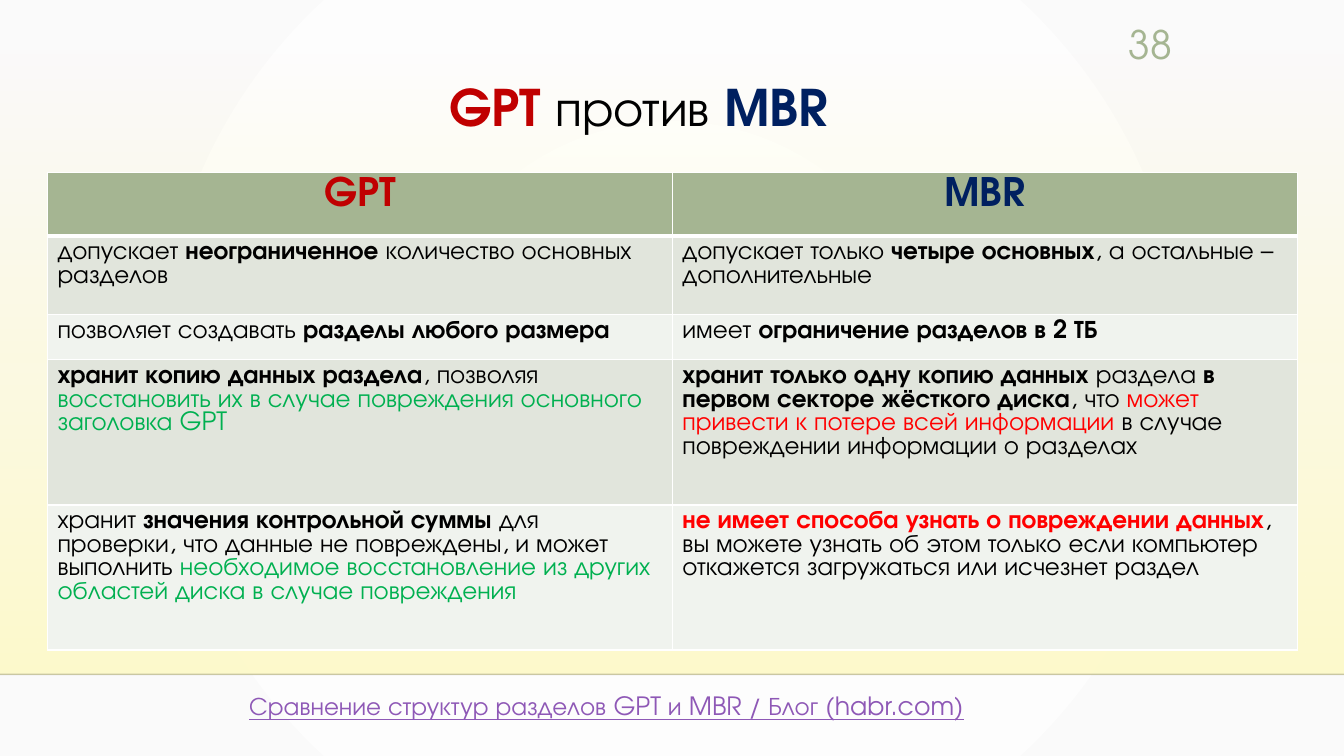
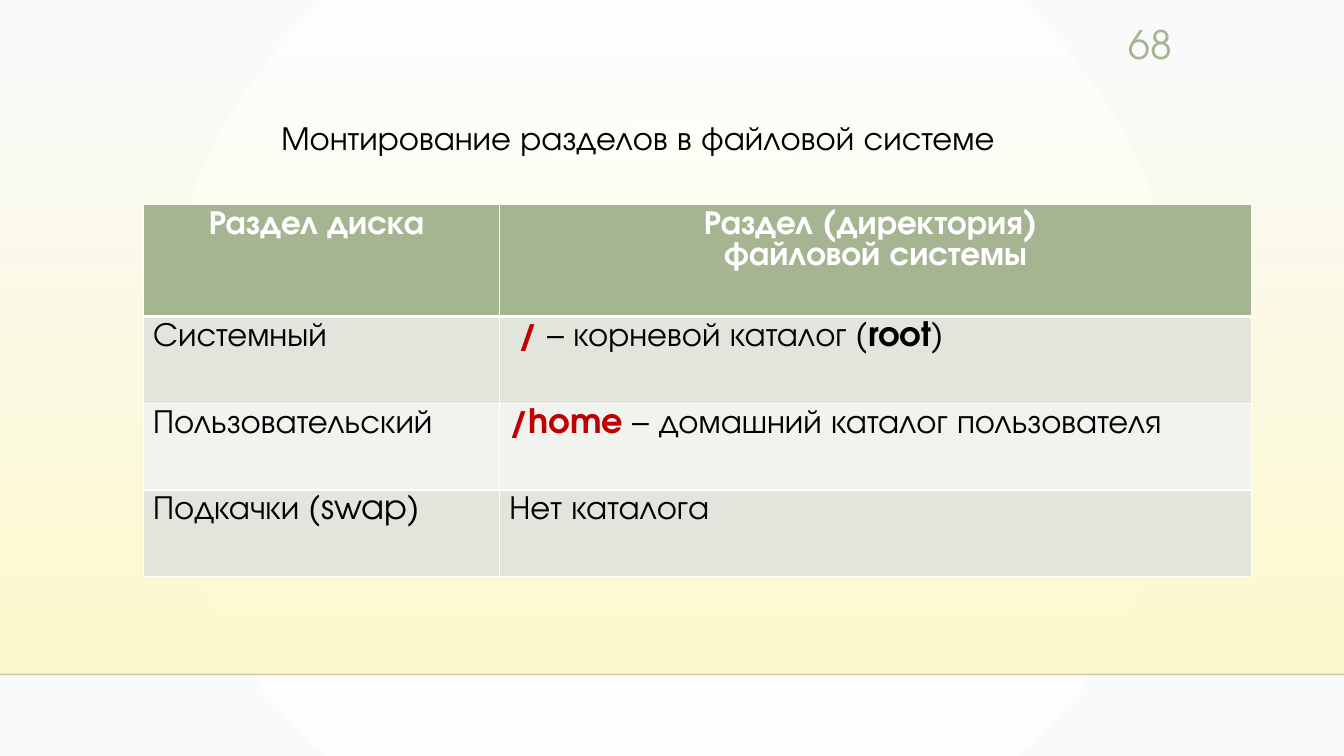
"""Build two slides on disk partitions: GPT against MBR, and mounting partitions."""
import pptx
import pptx.dml.color
import pptx.enum.shapes
import pptx.enum.text
import pptx.oxml
import pptx.oxml.ns
import pptx.util

FONT = "TeX Gyre Adventor"
WIDTH, HEIGHT = pptx.util.Inches(13.33), pptx.util.Inches(7.5)
SAGE, PALE_SAGE, MIST = "A5B592", "E1E5DC", "F0F3EE"
NUMBER_PLACE = (81.4, 2, 6.55, 7.33)
NAMESPACE = 'xmlns:a="http://schemas.openxmlformats.org/drawingml/2006/main"'
GRADIENT = (
    f'<a:gradFill {NAMESPACE} rotWithShape="1"><a:gsLst>'
    '<a:gs pos="0"><a:srgbClr val="{0}"><a:alpha val="{1}"/></a:srgbClr></a:gs>'
    '<a:gs pos="100000"><a:srgbClr val="{2}"/></a:gs></a:gsLst>{3}</a:gradFill>'
)
CIRCLE = '<a:path path="circle"><a:fillToRect l="50000" t="50000" r="50000" b="50000"/></a:path>'
DOWNWARD = '<a:lin ang="5400000" scaled="0"/>'
BORDER = '<a:{0} {1} w="{2}"><a:solidFill><a:srgbClr val="FFFFFF"/></a:solidFill></a:{0}>'

STYLES = {
    "plain": ("000000", {"bold": False}),
    "strong": ("000000", {"bold": True}),
    "gpt": ("C00000", {"bold": True}),
    "mbr": ("002060", {"bold": True}),
    "head": ("FFFFFF", {"bold": True}),
    "good": ("00B050", {"bold": False}),
    "bad": ("FF0000", {"bold": False}),
    "worst": ("FF0000", {"bold": True}),
    "number": (SAGE, {"bold": False}),
    "link": ("8E58B6", {"bold": False, "underline": True}),
}

SLIDES = [
    {
        "texts": [
            (NUMBER_PLACE, 28, True, "RIGHT", [("38", "number")]),
            ((32.7, 9.4, 31.6, 9.47), 36, False, "LEFT",
             [("GPT ", "gpt"), ("против ", "plain"), ("MBR", "mbr")]),
            ((17.8, 90.67, 61.4, 5.33), 18, True, "LEFT",
             [("Сравнение структур разделов GPT и MBR / Блог (habr.com)", "link")]),
        ],
        "corner": (3.53, 22.8),
        "columns": [46.5, 46.5],
        "rows": [8.4, 10.4, 6, 19.2, 19.2],
        "sizes": (28, 18),
        "cells": [
            [[("GPT", "gpt")], [("MBR", "mbr")]],
            [
                [("допускает ", "plain"), ("неограниченное", "strong"),
                 (" количество основных разделов", "plain")],
                [("допускает только ", "plain"), ("четыре основных", "strong"),
                 (", а остальные – дополнительные", "plain")],
            ],
            [
                [("позволяет создавать ", "plain"), ("разделы любого размера", "strong")],
                [("имеет ", "plain"), ("ограничение разделов в 2 ТБ", "strong")],
            ],
            [
                [("хранит копию данных раздела", "strong"), (", позволяя ", "plain"),
                 ("восстановить их в случае повреждения основного заголовка GPT", "good")],
                [("хранит только одну копию данных ", "strong"), ("раздела ", "plain"),
                 ("в первом секторе жёсткого диска", "strong"), (", что ", "plain"),
                 ("может привести к потере всей информации ", "bad"),
                 ("в случае повреждении информации о разделах", "plain")],
            ],
            [
                [("хранит ", "plain"), ("значения контрольной суммы ", "strong"),
                 ("для проверки, что данные не повреждены, и может выполнить ", "plain"),
                 ("необходимое восстановление из других областей диска в случае повреждения",
                  "good")],
                [("не имеет способа узнать о повреждении данных", "worst"),
                 (", вы можете узнать об этом только если компьютер откажется загружаться "
                  "или исчезнет раздел", "plain")],
            ],
        ],
    },
    {
        "texts": [
            (NUMBER_PLACE, 28, True, "RIGHT", [("68", "number")]),
            ((20.2, 14.85, 61.1, 6.67), 24, False, "LEFT",
             [("Монтирование разделов в файловой системе", "plain")]),
        ],
        "corner": (10.65, 27.07),
        "columns": [26.5, 55.96],
        "rows": [14.8, 11.47, 11.47, 11.47],
        "sizes": (24, 24),
        "cells": [
            [[("Раздел диска ", "head")], [("Раздел (директория) \nфайловой системы", "head")]],
            [
                [("Системный", "plain")],
                [(" ", "plain"), ("/ ", "gpt"), ("– корневой каталог (", "plain"),
                 ("root", "strong"), (")", "plain")],
            ],
            [
                [("Пользовательский", "plain")],
                [("/home ", "gpt"), ("– домашний каталог пользователя", "plain")],
            ],
            [[("Подкачки (swap)", "plain")], [("Нет каталога", "plain")]],
        ],
    },
]


def percent(*shares):
    """Turn alternating shares of slide width and height into lengths."""
    return [int((HEIGHT if i % 2 else WIDTH) * share / 100) for i, share in enumerate(shares)]


def write(paragraph, pieces, size, align):
    """Fill a paragraph with styled pieces of text."""
    paragraph.alignment = getattr(pptx.enum.text.PP_ALIGN, align)
    for text, style in pieces:
        color, formats = STYLES[style]
        for i, line in enumerate(text.split("\n")):
            if i:
                paragraph.add_line_break()
            run = paragraph.add_run()
            run.text = line
            run.font.color.rgb = pptx.dml.color.RGBColor.from_string(color)
            for key, value in {"name": FONT, "size": pptx.util.Pt(size), **formats}.items():
                setattr(run.font, key, value)


deck = pptx.Presentation()
deck.slide_width, deck.slide_height = WIDTH, HEIGHT
master = deck.slide_master
master.background.fill.solid()
backdrop = master.element.find(".//" + pptx.oxml.ns.qn("p:bgPr"))
backdrop.replace(backdrop[0], pptx.oxml.parse_xml(
    GRADIENT.format("FFFFFF", 100000, "FAFAFA", CIRCLE)))

for content in SLIDES:
    slide = deck.slides.add_slide(deck.slide_layouts[6])

    glow = slide.shapes.add_shape(
        pptx.enum.shapes.MSO_SHAPE.RECTANGLE, *percent(0, 6.8, 100, 82.4))
    glow.shadow.inherit = False
    glow.line.fill.background()
    glow.fill.solid()
    solid = glow.element.spPr.find(pptx.oxml.ns.qn("a:solidFill"))
    glow.element.spPr.replace(solid, pptx.oxml.parse_xml(
        GRADIENT.format("FEFAC9", 0, "FEFACC", DOWNWARD)))

    horizon = slide.shapes.add_connector(
        pptx.enum.shapes.MSO_CONNECTOR.STRAIGHT, *percent(0, 89.2, 100, 89.2))
    horizon.line.width = pptx.util.Pt(1)
    horizon.line.color.rgb = pptx.dml.color.RGBColor.from_string("000001")
    ink = horizon.element.find(".//" + pptx.oxml.ns.qn("a:srgbClr"))
    ink.append(pptx.oxml.parse_xml(f'<a:alpha {NAMESPACE} val="20000"/>'))
    horizon.element.spPr.append(pptx.oxml.parse_xml(f"<a:effectLst {NAMESPACE}/>"))

    for place, size, wraps, align, pieces in content["texts"]:
        frame = slide.shapes.add_textbox(*percent(*place)).text_frame
        frame.word_wrap = wraps
        frame.auto_size = pptx.enum.text.MSO_AUTO_SIZE.SHAPE_TO_FIT_TEXT
        write(frame.paragraphs[0], pieces, size, align)

    columns, rows = content["columns"], content["rows"]
    comparison = slide.shapes.add_table(
        len(rows), len(columns),
        *percent(*content["corner"], sum(columns), sum(rows))).table
    for column, share in zip(comparison.columns, columns):
        column.width = int(WIDTH * share / 100)
    for r, share in enumerate(rows):
        comparison.rows[r].height = int(HEIGHT * share / 100)
        fill = SAGE if r == 0 else (MIST, PALE_SAGE)[r % 2]
        borders = {"lnL": 1, "lnR": 1, "lnT": 3 if r == 1 else 1, "lnB": 1 if r else 3}
        for c, pieces in enumerate(content["cells"][r]):
            cell = comparison.cell(r, c)
            cell.fill.solid()
            cell.fill.fore_color.rgb = pptx.dml.color.RGBColor.from_string(fill)
            properties = cell._tc.get_or_add_tcPr()
            for i, (side, points) in enumerate(borders.items()):
                properties.insert(i, pptx.oxml.parse_xml(
                    BORDER.format(side, NAMESPACE, pptx.util.Pt(points))))
            write(cell.text_frame.paragraphs[0], pieces,
                  content["sizes"][r > 0], "LEFT" if r else "CENTER")

deck.save("out.pptx")
